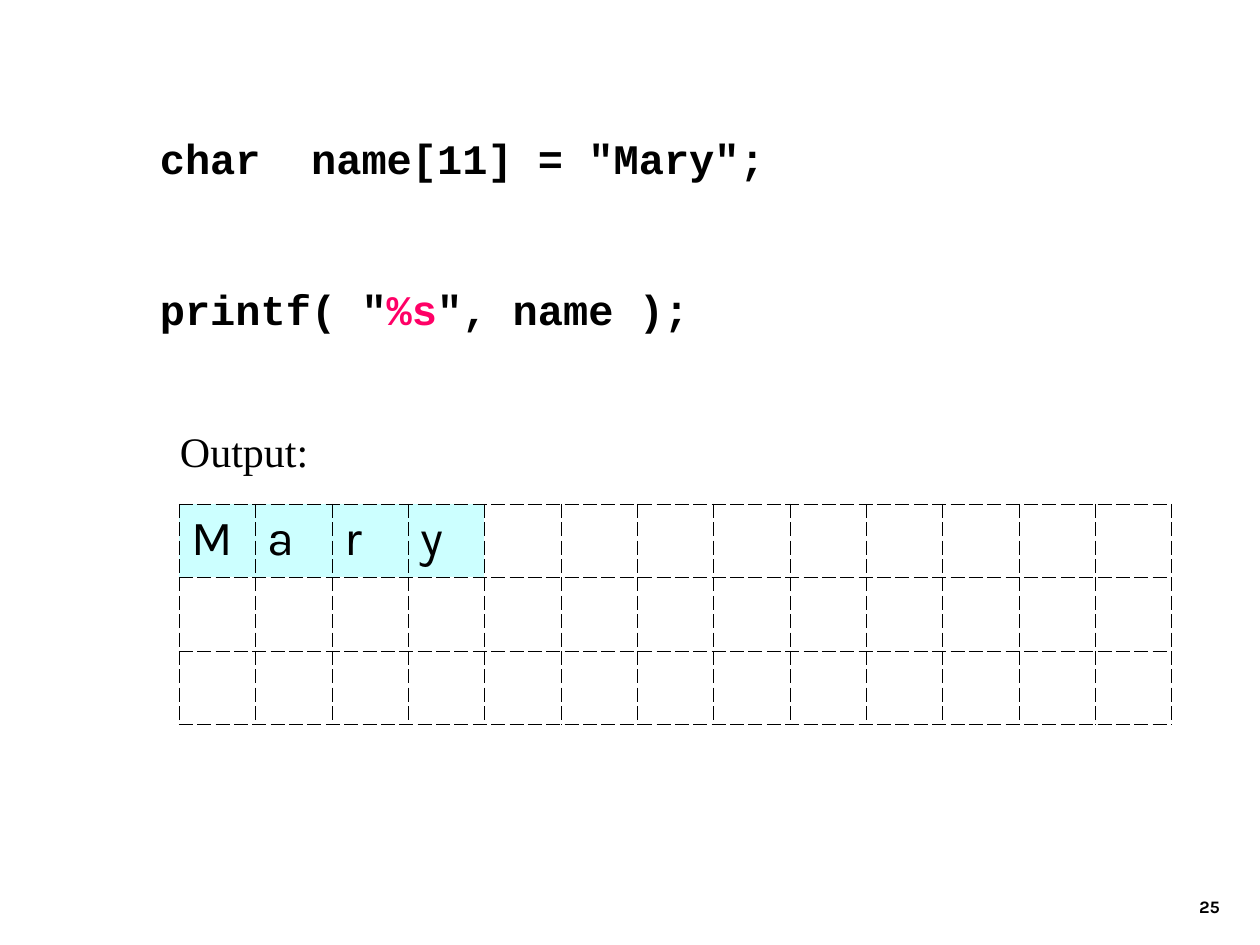
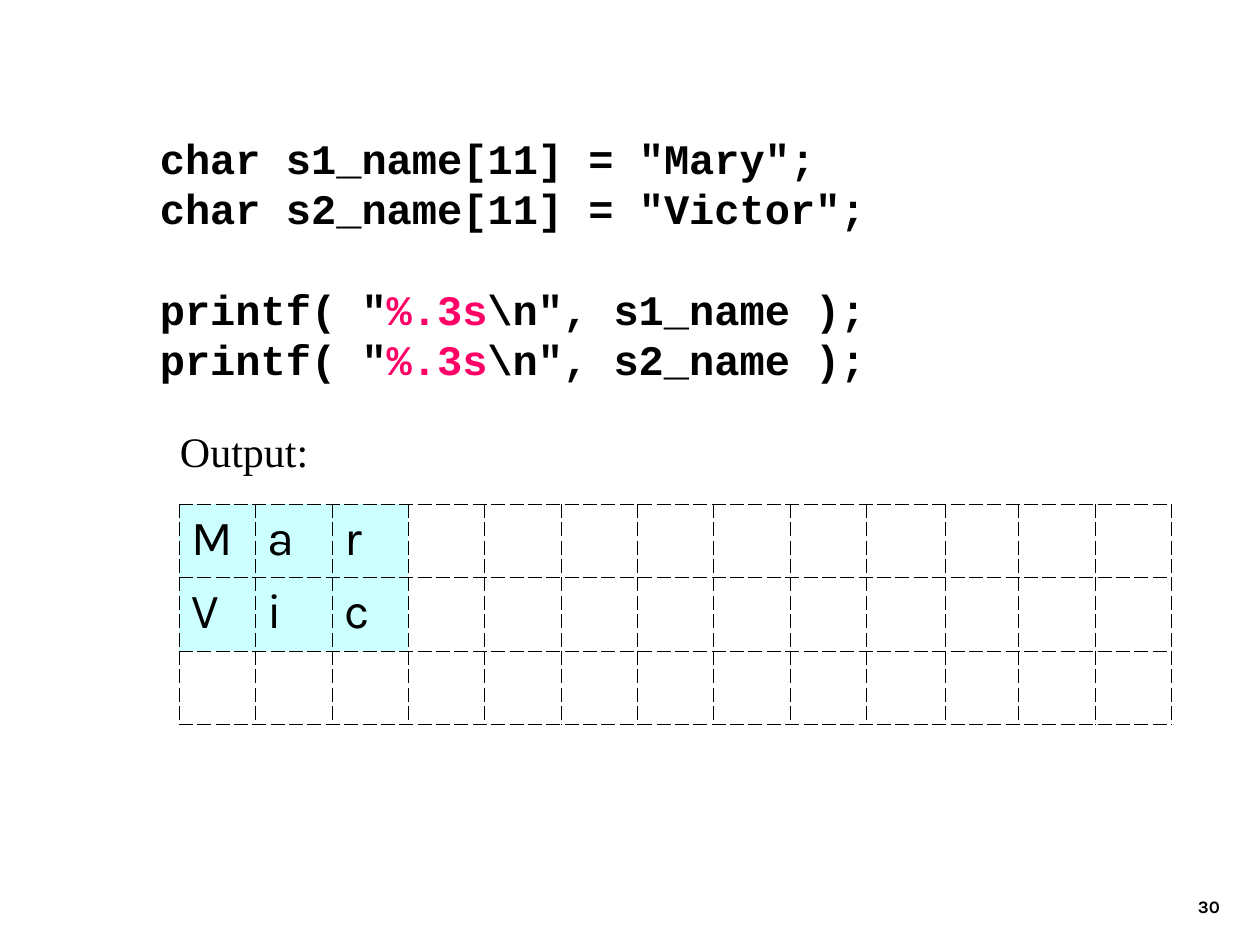
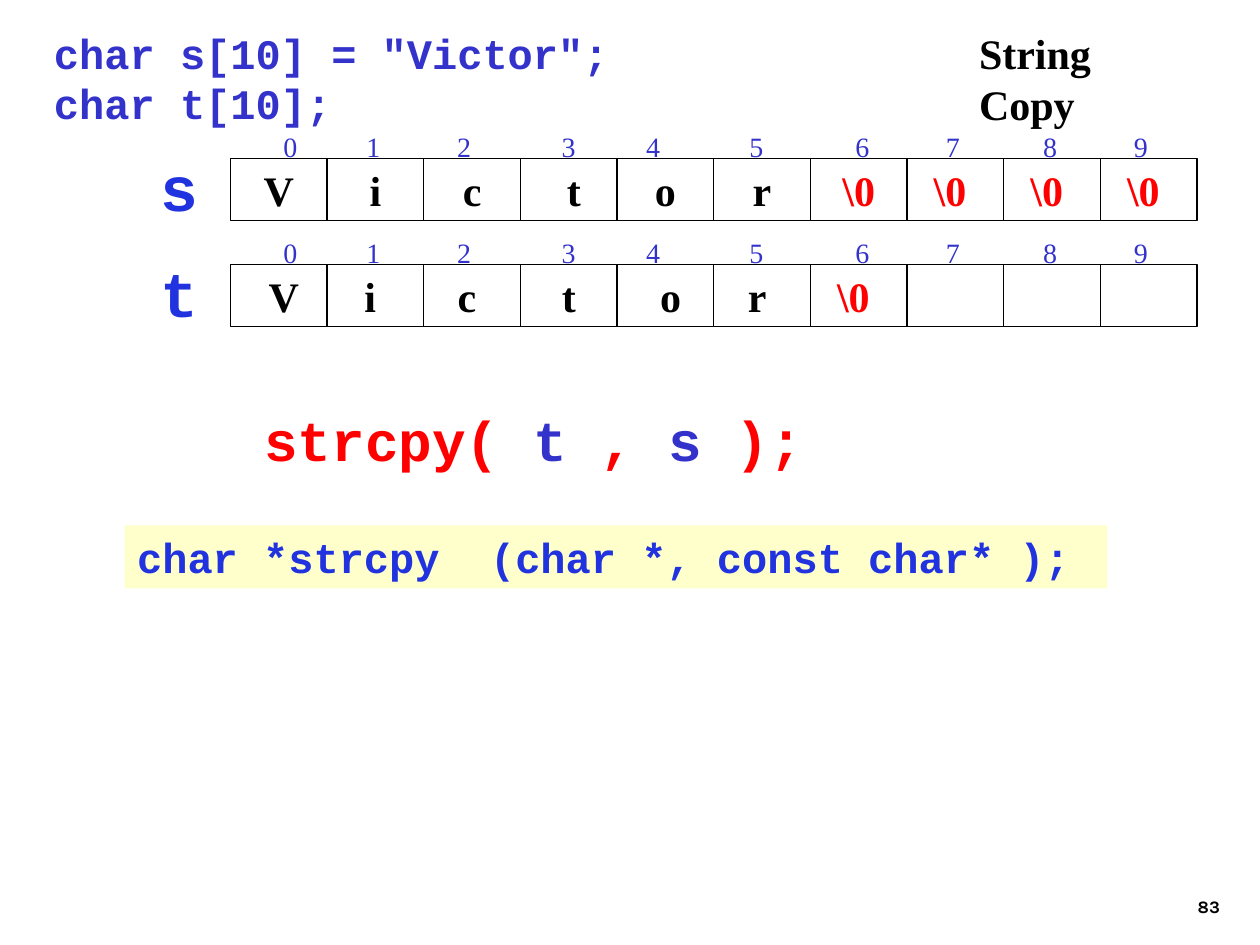
"""Build three slides on printing and copying C strings."""
from lxml import etree
from pptx import Presentation
from pptx import util as u
from pptx.dml import color
from pptx.enum import shapes, text
from pptx.oxml import ns

CODE, SERIF, SANS = "Courier New", "Times New Roman", "Karla"
BLACK, WHITE, PINK, RED = "000000", "FFFFFF", "FF0066", "FF0000"
INDIGO, BLUE, CYAN, CREAM = "3333CC", "2133DF", "CCFFFF", "FFFFCC"
TITLE_ONLY, BLANK = 5, 6
LINE_HEIGHT = 1.2
GRID_ROWS, GRID_COLUMNS = 3, 13
ARRAY_LEFT, CELL_WIDTH, CELL_HEIGHT = 1.83, 7.67 / 10, 0.49
INDEX_STOPS = (0.32, 0.98, 1.7, 2.53, 3.2, 4.02, 4.86, 5.58, 6.35, 7.07)


def rgb(value):
    """Turn a hex string into a colour."""
    return color.RGBColor.from_string(value)


def inches(*lengths):
    """Turn numbers into lengths in inches."""
    return [u.Inches(length) for length in lengths]


def add_run(paragraph, words, font, size, fill, bold=False):
    """Append one formatted run."""
    run = paragraph.add_run()
    run.text = words
    run.font.name, run.font.size, run.font.bold = font, u.Pt(size), bold
    run.font.color.rgb = rgb(fill)


def set_frame(shape, anchor=text.MSO_ANCHOR.TOP, wrap=True):
    """Set anchor, wrapping and margins and return the first paragraph."""
    frame = shape.text_frame
    frame.auto_size = text.MSO_AUTO_SIZE.NONE
    frame.word_wrap, frame.vertical_anchor = wrap, anchor
    frame.margin_left = frame.margin_right = u.Inches(0.1)
    frame.margin_top = frame.margin_bottom = u.Inches(0.05)
    return frame.paragraphs[0]


def add_label(slide, box, words, font, size, fill=BLACK, bold=False,
              align=text.PP_ALIGN.LEFT, anchor=text.MSO_ANCHOR.TOP):
    """Add a text box with one line."""
    paragraph = set_frame(slide.shapes.add_textbox(*inches(*box)), anchor)
    paragraph.alignment = align
    add_run(paragraph, words, font, size, fill, bold)
    return paragraph


def fill_code(shape, lines, size=24):
    """Write code lines as (text, colour) runs, with a gap for each None."""
    paragraph = set_frame(shape)
    gap = 0
    for index, line in enumerate(lines):
        if line is None:
            gap += 1
            continue
        if index:
            paragraph = shape.text_frame.add_paragraph()
        paragraph.alignment = text.PP_ALIGN.LEFT
        paragraph.line_spacing = u.Pt(size * LINE_HEIGHT)
        paragraph.space_before = u.Pt(gap * size * LINE_HEIGHT)
        for words, fill in line:
            add_run(paragraph, words, CODE, size, fill, True)
        gap = 0


def add_code(slide, box, lines, size=24):
    """Add a text box of code."""
    fill_code(slide.shapes.add_textbox(*inches(*box)), lines, size)


def printf_line(specifier, rest):
    """Return the runs of a printf call with its specifier highlighted."""
    return [('printf( "', BLACK), (specifier, PINK), (rest, BLACK)]


def add_rectangle(slide, box):
    """Add a rectangle without shadow, fill or line."""
    shape = slide.shapes.add_shape(shapes.MSO_SHAPE.RECTANGLE, *inches(*box))
    shape.shadow.inherit = False
    shape.fill.background()
    shape.line.fill.background()
    return shape


def set_dashed_borders(cell):
    """Give a table cell hairline dashed borders."""
    properties = cell._tc.get_or_add_tcPr()
    for position, side in enumerate(("lnL", "lnR", "lnT", "lnB")):
        line = etree.Element(ns.qn(f"a:{side}"), w=str(u.Pt(0.11)))
        solid = etree.SubElement(line, ns.qn("a:solidFill"))
        etree.SubElement(solid, ns.qn("a:srgbClr"), val=BLACK)
        etree.SubElement(line, ns.qn("a:prstDash"), val="dash")
        properties.insert(position, line)


def add_output_grid(slide, printed):
    """Add the output label and the grid of printed characters."""
    add_label(slide, (1.33, 3.33, 3.5, 0.5), "Output:", SERIF, 24)
    table = slide.shapes.add_table(
        GRID_ROWS, GRID_COLUMNS, *inches(1.42, 4, 7.88, 1.75)).table
    table.first_row = table.horz_banding = False
    for row in range(GRID_ROWS):
        word = printed[row] if row < len(printed) else ""
        for column in range(GRID_COLUMNS):
            cell = table.cell(row, column)
            cell.fill.solid()
            cell.fill.fore_color.rgb = rgb(CYAN if column < len(word) else WHITE)
            set_dashed_borders(cell)
            if column < len(word):
                add_run(cell.text_frame.paragraphs[0], word[column], SANS, 28, BLACK)
    return table


def add_indices(slide, top):
    """Add the row of index numbers above an array."""
    paragraph = set_frame(
        slide.shapes.add_textbox(*inches(ARRAY_LEFT, top, 7.67, CELL_HEIGHT)),
        text.MSO_ANCHOR.MIDDLE)
    tabs = etree.SubElement(paragraph._p.get_or_add_pPr(), ns.qn("a:tabLst"))
    for stop in INDEX_STOPS:
        etree.SubElement(tabs, ns.qn("a:tab"), pos=str(u.Inches(stop)), algn="l")
    for index in range(len(INDEX_STOPS)):
        add_run(paragraph, f"\t{index}", SERIF, 16, INDIGO)


def add_array(slide, name, top, values):
    """Add a named array of ten cells with indices."""
    add_indices(slide, top - 0.34)
    add_label(slide, (1.17, top - 0.13, 0.5, 0.7), name, CODE, 36, BLUE, True,
              text.PP_ALIGN.RIGHT).line_spacing = u.Pt(36 * LINE_HEIGHT)
    for index in range(len(INDEX_STOPS)):
        cell = add_rectangle(slide, (ARRAY_LEFT + index * CELL_WIDTH, top,
                                     CELL_WIDTH, CELL_HEIGHT))
        cell.line.color.rgb, cell.line.width = rgb(BLACK), u.Pt(0.75)
        if index < len(values):
            value = values[index]
            paragraph = set_frame(cell, text.MSO_ANCHOR.MIDDLE, False)
            paragraph.alignment = text.PP_ALIGN.CENTER
            add_run(paragraph, value, SERIF, 24, RED if "\\0" in value else BLACK, True)


def set_title(slide, box, words):
    """Place and format the title placeholder."""
    title = slide.shapes.title
    title.left, title.top, title.width, title.height = inches(*box)
    paragraph = set_frame(title, wrap=False)
    paragraph.alignment = text.PP_ALIGN.LEFT
    add_run(paragraph, words, SERIF, 24, BLACK, True)


def add_slide(presentation, layout, number):
    """Add a slide with its number."""
    slide = presentation.slides.add_slide(presentation.slide_layouts[layout])
    add_label(slide, (7.7, 6.83, 2.08, 0.5), number, SANS, 10, BLACK, True,
              text.PP_ALIGN.RIGHT, text.MSO_ANCHOR.BOTTOM)
    return slide


def build_print_slide(presentation):
    """Show a whole string being printed."""
    slide = add_slide(presentation, BLANK, "25")
    add_code(slide, (1.17, 1, 6.92, 1.7), [
        [('char  name[11] = "Mary";', BLACK)], None, None,
        printf_line("%s", '", name );')])
    add_output_grid(slide, ["Mary"])


def build_precision_slide(presentation):
    """Show strings being printed with a precision."""
    slide = add_slide(presentation, BLANK, "30")
    add_code(slide, (1.17, 1, 6.92, 2.1), [
        [('char s1_name[11] = "Mary";', BLACK)],
        [('char s2_name[11] = "Victor";', BLACK)], None,
        printf_line("%.3s", '\\n", s1_name );'),
        printf_line("%.3s", '\\n", s2_name );')])
    table = add_output_grid(slide, ["Mar", "Vic"])
    table.columns[9].width, table.columns[10].width = inches(0.63, 0.58)


def build_copy_slide(presentation):
    """Show one string being copied to another."""
    slide = add_slide(presentation, TITLE_ONLY, "83")
    set_title(slide, (7.67, 0.17, 1.93, 0.5), "String Copy")
    add_code(slide, (0.33, 0.17, 7.42, 1.3), [
        [('char s[10] = "Victor";', INDIGO)], [("char t[10];", INDIGO)]])
    add_array(slide, "s", 1.26,
              ["V", "i", "c", " t", "o", "r", "\\0", "\\0 ", "\\0 ", "\\0 "])
    add_array(slide, "t", 2.1, [" V", "i ", "c ", " t ", " o", "r ", "\\0 "])
    add_code(slide, (2, 3.17, 4.5, 1.04), [
        [("strcpy( ", RED), ("t ", INDIGO), (",", RED), (" s ", INDIGO), (");", RED)]], 32)
    prototype = add_rectangle(slide, (0.99, 4.17, 7.8, 0.5))
    prototype.fill.solid()
    prototype.fill.fore_color.rgb = rgb(CREAM)
    fill_code(prototype, [[("char *strcpy  (char *, const char* );", BLUE)]])


def main():
    """Build and save the presentation."""
    presentation = Presentation()
    presentation.slide_width, presentation.slide_height = inches(10, 7.5)
    build_print_slide(presentation)
    build_precision_slide(presentation)
    build_copy_slide(presentation)
    presentation.save("out.pptx")


if __name__ == "__main__":
    main()
